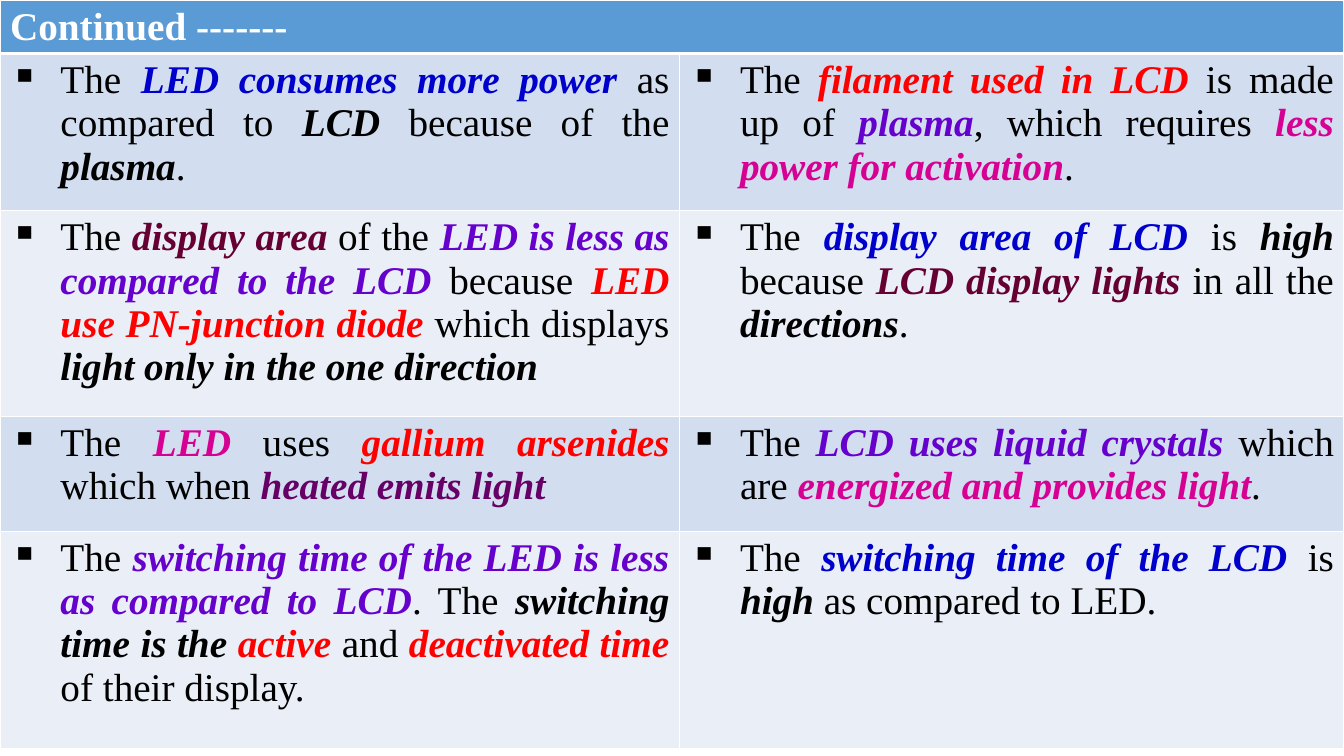
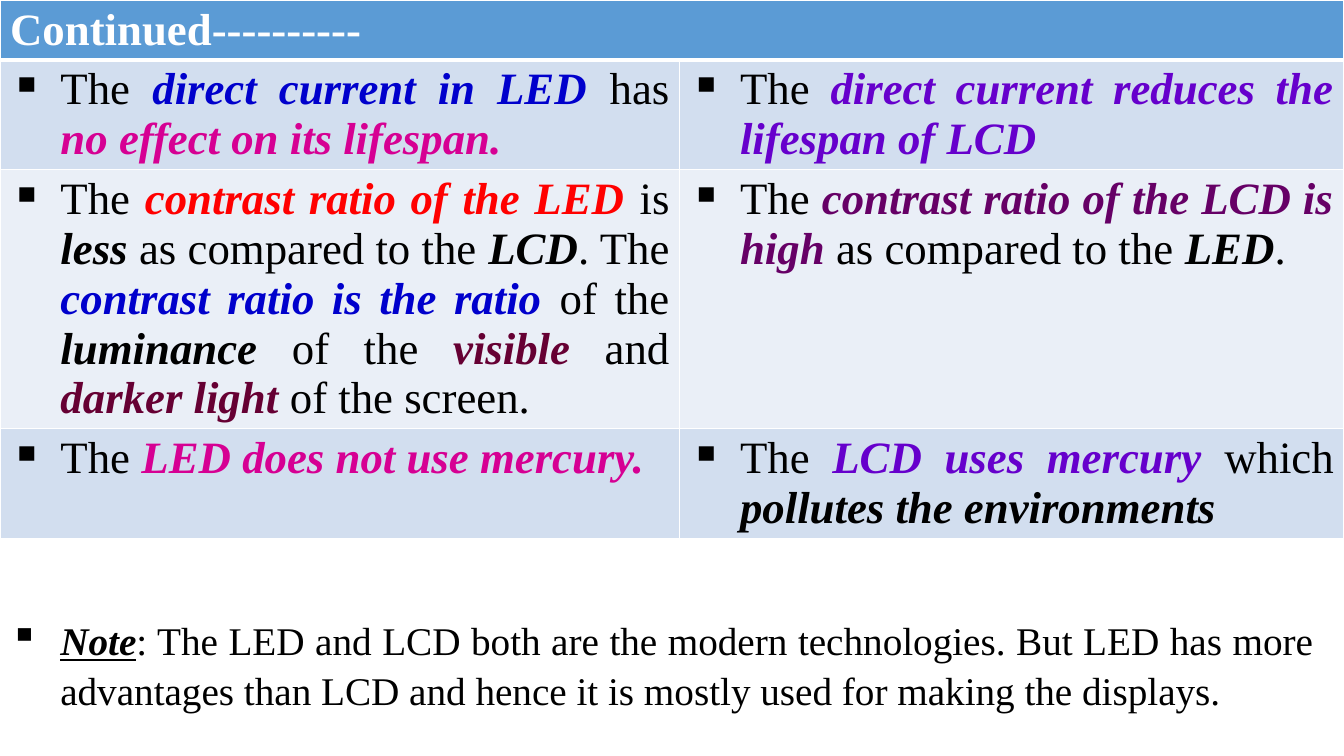
from dataclasses import dataclass, field

from lxml import etree
from pptx import Presentation
from pptx.dml.color import RGBColor
from pptx.enum.text import MSO_AUTO_SIZE, PP_ALIGN
from pptx.oxml.ns import qn
from pptx.util import Inches, Pt

JUST = PP_ALIGN.JUSTIFY
GROW = MSO_AUTO_SIZE.SHAPE_TO_FIT_TEXT


@dataclass
class Theme:
    face: str = "Times New Roman"
    small: int = 28
    large: int = 32
    wide: float = 13.33
    high: float = 7.5
    cols: tuple = (6.74, 6.59)
    head: str = "5B9BD5"
    bands: tuple = ("D2DEEF", "EAEFF7")
    rule: str = "FFFFFF"
    thin: int = 1
    thick: int = 3
    inks: dict = field(default_factory=lambda: {
        "black": "000000", "white": "FFFFFF", "blue": "0000CC",
        "red": "FF0000", "violet": "6600CC", "pink": "D60093",
        "wine": "660033", "plum": "660066", "note": "000000"})
    plain: dict = field(default_factory=lambda: {"bold": False, "italic": False})
    strong: dict = field(default_factory=lambda: {"bold": True, "italic": True})
    extra: dict = field(default_factory=lambda: {
        "white": {"italic": False}, "note": {"underline": True}})


class Deck:
    def __init__(self, theme):
        self.theme = theme
        self.prs = Presentation()
        self.prs.slide_width = Inches(theme.wide)
        self.prs.slide_height = Inches(theme.high)
        self.slide = None

    def page(self):
        self.slide = self.prs.slides.add_slide(self.prs.slide_layouts[6])

    def text(self, para, words, size, mark=True):
        """Parts between bars are styled: |ink:words|."""
        look = self.theme
        para.alignment = JUST
        if mark:
            props = para._p.get_or_add_pPr()
            props.set("marL", str(Inches(0.5)))
            props.set("indent", str(Inches(-0.5)))
            etree.SubElement(props, qn("a:buChar"), char="▪")
        for pos, part in enumerate(words.split("|")):
            if not part:
                continue
            ink, form = "black", look.plain
            if pos % 2:
                ink, part = part.split(":", 1)
                form = {**look.strong, **look.extra.get(ink, {})}
            run = para.add_run()
            run.text = part
            form = {"name": look.face, "size": Pt(size), **form}
            for key, value in form.items():
                setattr(run.font, key, value)
            run.font.color.rgb = RGBColor.from_string(look.inks[ink])

    def edge(self, cell, row):
        look = self.theme
        props = cell._tc.get_or_add_tcPr()
        for side in "LRTB":
            bold = (row, side) in ((0, "B"), (1, "T"))
            width = Pt(look.thick if bold else look.thin)
            line = etree.SubElement(props, qn("a:ln" + side), w=str(width))
            fill = etree.SubElement(line, qn("a:solidFill"))
            etree.SubElement(fill, qn("a:srgbClr"), val=look.rule)

    def table(self, title, rows, highs, size):
        look = self.theme
        grid = self.slide.shapes.add_table(
            len(highs), len(look.cols), 0, 0,
            Inches(look.wide), Inches(sum(highs))).table
        for col, width in zip(grid.columns, look.cols):
            col.width = Inches(width)
        for num, (row, high) in enumerate(zip(grid.rows, highs)):
            row.height = Inches(high)
            tint = look.bands[(num - 1) % 2] if num else look.head
            for cell in row.cells:
                self.edge(cell, num)
                cell.fill.solid()
                cell.fill.fore_color.rgb = RGBColor.from_string(tint)
        # Title across both columns, then the compared points
        grid.cell(0, 0).merge(grid.cell(0, 1))
        self.text(grid.cell(0, 0).text_frame.paragraphs[0],
                  f"|white:{title}|", size, mark=False)
        for num, pair in enumerate(rows, 1):
            for col, words in enumerate(pair):
                para = grid.cell(num, col).text_frame.paragraphs[0]
                self.text(para, words, size)

    def note(self, words, left, top, width, high):
        box = self.slide.shapes.add_textbox(
            *map(Inches, (left, top, width, high)))
        frame = box.text_frame
        frame.word_wrap = True
        frame.auto_size = GROW
        para = frame.paragraphs[0]
        para.line_spacing = 1.07
        self.text(para, words, self.theme.small)


# Left column LED, right column LCD
POWER = [
    ("The |blue:LED consumes more power |as compared to |black:LCD| because "
     "of the |black:plasma|.",
     "The |red:filament used in LCD |is made up of |violet:plasma|, which "
     "requires |pink:less power for activation|."),
    ("The |wine:display area |of the |violet:LED is less as compared to the "
     "LCD| because |red:LED use PN-junction diode |which displays "
     "|black:light only in the one direction|",
     "The |blue:display area of LCD |is |black:high| because "
     "|wine:LCD display lights |in all the |black:directions|."),
    ("The |pink:LED| uses |red:gallium arsenides |which when "
     "|plum:heated emits light |",
     "The |violet:LCD uses liquid crystals |which are "
     "|pink:energized and provides light|."),
    ("The |violet:switching time of the LED is less as compared to LCD|. The "
     "|black:switching time is the ||red:active| and "
     "|red:deactivated time |of their display.",
     "The |blue:switching time of the LCD |is |black:high| as compared to "
     "LED. "),
]

LIFE = [
    ("The |blue:direct current in LED |has "
     "|pink:no effect on its lifespan.|",
     "The |violet:direct current reduces the lifespan of LCD |"),
    ("The |red:contrast ratio of the LED |is |black:less| as compared to the "
     "|black:LCD|. The |blue:contrast ratio is the ratio| of the "
     "|black:luminance| of the |wine:visible| and |wine:darker light |of the "
     "screen.",
     "The |plum:contrast ratio of the LCD is high |as compared to the "
     "|black:LED|. "),
    ("The |pink:LED does not use mercury.|",
     "The |violet:LCD uses mercury |which "
     "|black:pollutes the environments|"),
]

NOTE = ("|note:Note|: The LED and LCD both are the modern technologies. But "
        "LED has more advantages than LCD and hence it is mostly used for "
        "making the displays.")


def main():
    theme = Theme()
    deck = Deck(theme)

    # Power, display area, material, switching time
    deck.page()
    deck.table("Continued -------", POWER,
               (0.53, 1.56, 2.04, 1.14, 2.16), theme.small)

    # Lifespan, contrast, mercury and closing note
    deck.page()
    deck.table("Continued----------", LIFE,
               (0.59, 1.09, 2.57, 1.09), theme.large)
    deck.note(NOTE, 0, 6.03, 13.13, 1.04)

    deck.prs.save("out.pptx")


if __name__ == "__main__":
    main()
